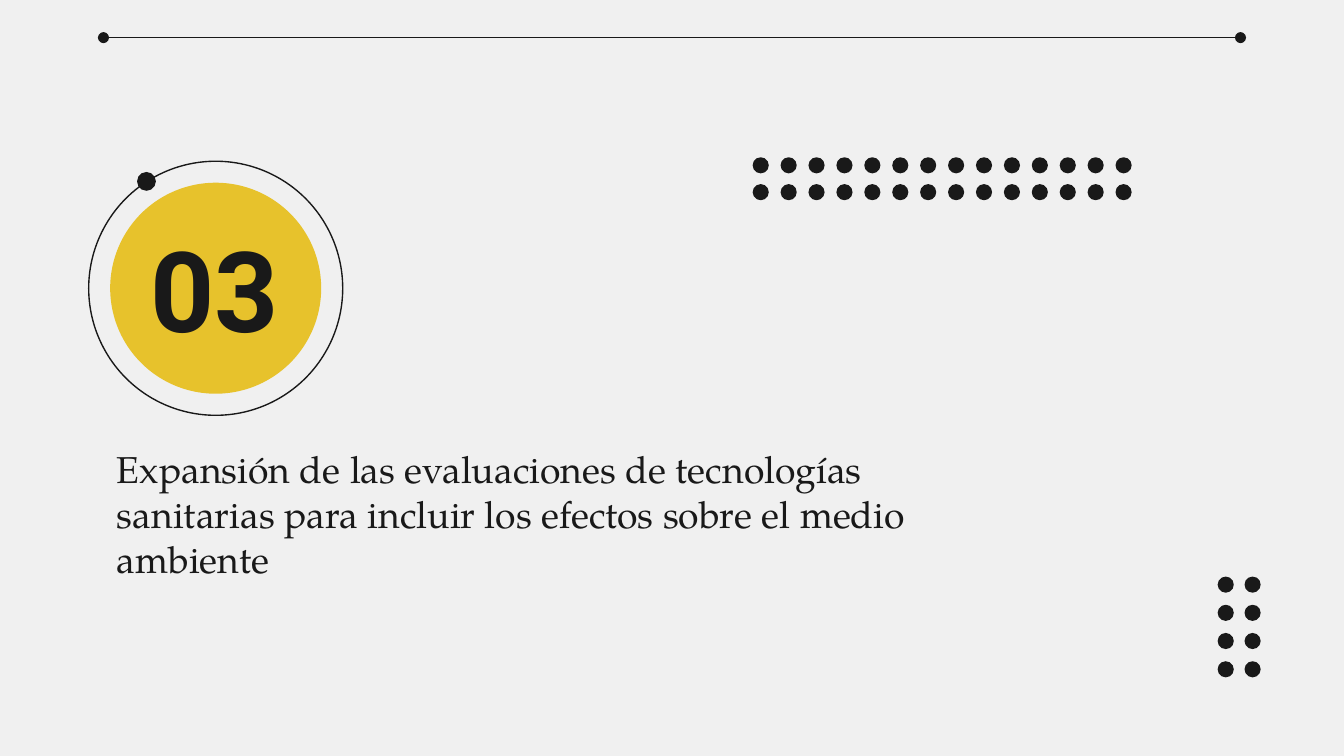
from dataclasses import dataclass

from lxml.etree import SubElement
from pptx import Presentation
from pptx.dml.color import RGBColor
from pptx.enum.shapes import MSO_CONNECTOR, MSO_SHAPE
from pptx.enum.text import MSO_ANCHOR, MSO_AUTO_SIZE, PP_ALIGN
from pptx.oxml.ns import qn
from pptx.util import Inches, Pt


@dataclass(frozen=True)
class Theme:
    """Colours, fonts and sizes of the slide."""
    paper: RGBColor = RGBColor.from_string("F0F0F0")
    ink: RGBColor = RGBColor.from_string("191919")
    accent: RGBColor = RGBColor.from_string("E7C22C")
    title_font: str = "TeX Gyre Pagella"
    number_font: str = "Roboto"
    title_size: Pt = Pt(20)
    number_size: Pt = Pt(60)
    line_width: Pt = Pt(0.75)
    dot: float = 0.12


THEME = Theme()


def add_circle(shapes, x, y, size, fill=None):
    """Add a filled circle, or an outlined ring when no fill is given."""
    sp = shapes.add_shape(MSO_SHAPE.OVAL, Inches(x), Inches(y), Inches(size), Inches(size))
    sp.shadow.inherit = False
    if fill is None:
        sp.fill.background()
        sp.line.color.rgb = THEME.ink
        sp.line.width = THEME.line_width
    else:
        sp.fill.solid()
        sp.fill.fore_color.rgb = fill
        sp.line.fill.background()


def spread(first, last, count):
    """Return evenly spaced positions from first to last."""
    return [first + i * (last - first) / (count - 1) for i in range(count)]


def add_dot_grid(s, xs, ys):
    """Add a group of dots at every crossing of xs and ys."""
    group = s.shapes.add_group_shape()
    for x in xs:
        for y in ys:
            add_circle(group.shapes, x, y, THEME.dot, THEME.ink)


def add_oval_ended_line(s, x1, x2, y):
    """Add a horizontal line with a round head at both ends."""
    line = s.shapes.add_connector(
        MSO_CONNECTOR.STRAIGHT, Inches(x1), Inches(y), Inches(x2), Inches(y))
    line.line.color.rgb = THEME.ink
    line.line.width = THEME.line_width
    ln = line.line._get_or_add_ln()
    for end in ("a:headEnd", "a:tailEnd"):
        SubElement(ln, qn(end), type="oval")
    SubElement(line.element.spPr, qn("a:effectLst"))


def fill_placeholder(s, sp, box, text, font, size, align, bold=False):
    """Place a placeholder in front, then write and format its text."""
    s.shapes.element.append(sp.element)
    sp.left, sp.top, sp.width, sp.height = map(Inches, box)
    tf = sp.text_frame
    tf.text = text
    tf.word_wrap = True
    tf.auto_size = MSO_AUTO_SIZE.NONE
    tf.vertical_anchor = MSO_ANCHOR.MIDDLE
    tf.margin_left = tf.margin_right = tf.margin_top = tf.margin_bottom = Inches(0.1)
    p = tf.paragraphs[0]
    p.alignment = align
    p.space_before = Pt(0)
    p.font.name, p.font.size, p.font.bold = font, size, bold
    p.font.color.rgb = THEME.ink


def main():
    """Build the section slide and save it."""
    prs = Presentation()
    prs.slide_width = Inches(10)
    prs.slide_height = Inches(10 * 9 / 16)
    s = prs.slides.add_slide(prs.slide_layouts[0])
    s.background.fill.solid()
    s.background.fill.fore_color.rgb = THEME.paper
    title, number = s.placeholders

    badge = s.shapes.add_group_shape()
    add_circle(badge.shapes, 0.66, 1.2, 1.89)
    add_circle(badge.shapes, 1.02, 1.28, 0.14, THEME.ink)
    add_circle(s.shapes, 0.82, 1.36, 1.57, THEME.accent)

    fill_placeholder(
        s, title, (0.77, 3.36, 6.74, 0.92),
        "Expansión de las evaluaciones de tecnologías sanitarias "
        "para incluir los efectos sobre el medio ambiente",
        THEME.title_font, THEME.title_size, PP_ALIGN.LEFT)
    fill_placeholder(
        s, number, (0.8, 1.68, 1.6, 0.92), "03",
        THEME.number_font, THEME.number_size, PP_ALIGN.CENTER, bold=True)

    add_dot_grid(s, spread(5.6, 8.3, 14), spread(1.17, 1.37, 2))
    add_oval_ended_line(s, 0.77, 9.23, 0.28)
    add_dot_grid(s, spread(9.06, 9.26, 2), spread(4.29, 4.92, 4))
    prs.save("out.pptx")


if __name__ == "__main__":
    main()
